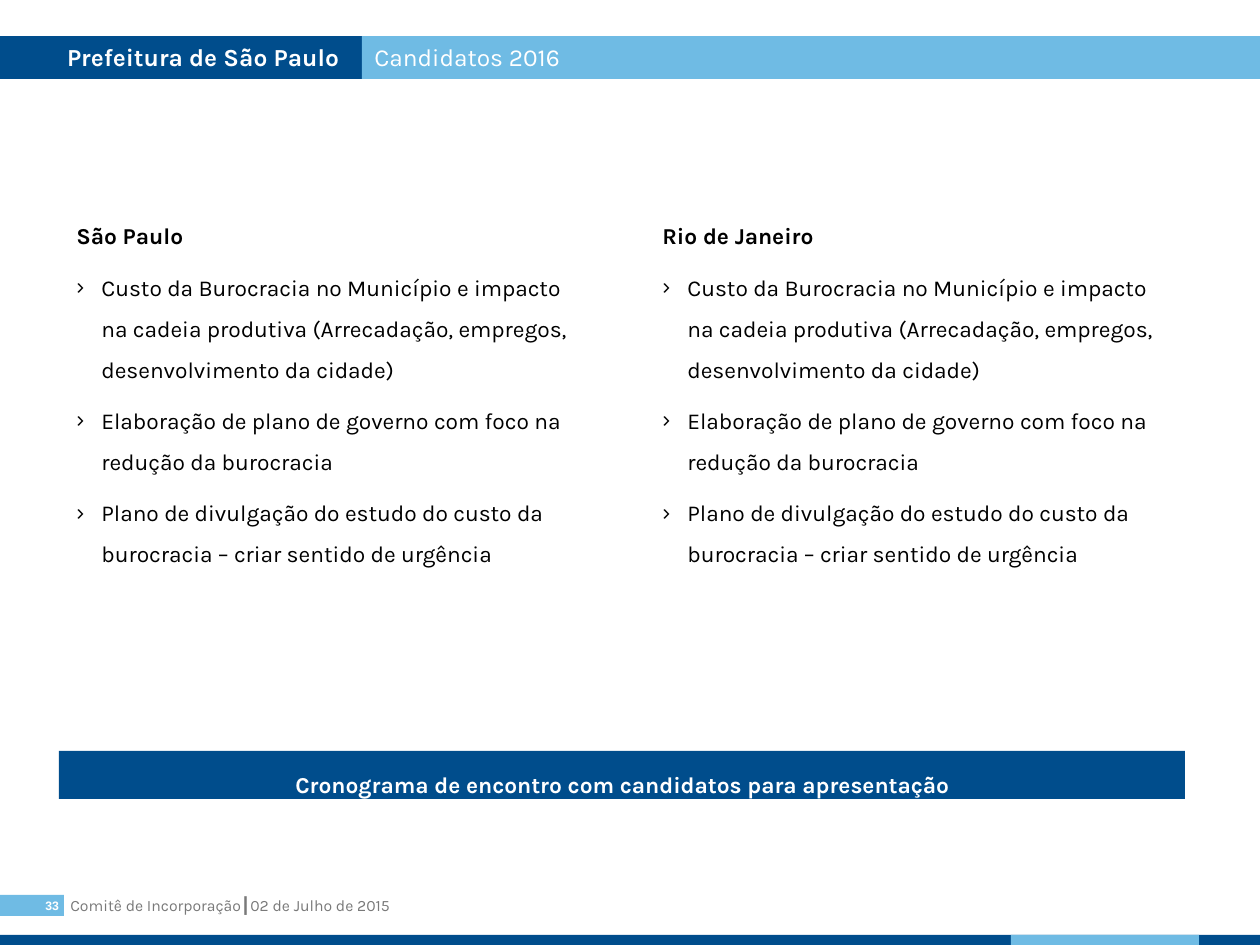
from pptx import Presentation
from pptx.dml.color import RGBColor
from pptx.enum.shapes import MSO_SHAPE
from pptx.enum.text import MSO_ANCHOR, PP_ALIGN
from pptx.oxml.ns import qn
from pptx.util import Pt
from lxml import etree

RECTANGLE = MSO_SHAPE.RECTANGLE
TOP, MIDDLE = MSO_ANCHOR.TOP, MSO_ANCHOR.MIDDLE
LEFT, CENTER, RIGHT = PP_ALIGN.LEFT, PP_ALIGN.CENTER, PP_ALIGN.RIGHT
SCALE = 914400 / 126  # EMU per px
COLORS = {"navy": "004D8C", "sky": "6FBBE4", "white": "FFFFFF",
          "black": "000000", "gray": "797979"}

# Content
TITLE, SUBTITLE = "Prefeitura de São Paulo", "Candidatos 2016"
CITIES = ["São Paulo", "Rio de Janeiro"]
ACTIONS = [
    "Custo da Burocracia no Município e impacto na cadeia produtiva "
    "(Arrecadação, empregos, desenvolvimento da cidade)",
    "Elaboração de plano de governo com foco na redução da burocracia",
    "Plano de divulgação do estudo do custo da burocracia – criar sentido de urgência",
]
BANNER = "Cronograma de encontro com candidatos para apresentação"
FOOTER, PAGE_NUMBER = "Comitê de Incorporação┃02 de Julho de 2015", "33"

# Layout in px
COLUMN_LEFT, COLUMN_STEP, COLUMN_TOP = 64, 586, 202
COLUMN_WIDTH, COLUMN_HEIGHT = 536, 479
BULLET_INDENT, TITLE_INDENT = 25, 62

# Text formats
BODY = {"size": Pt(13), "name": "Karla", "bold": False}
STRONG = {**BODY, "bold": True}
HEADING = {**BODY, "size": Pt(14)}
HEADING_STRONG = {**HEADING, "bold": True}
SMALL = {**BODY, "size": Pt(9)}
NUMBER = {"size": Pt(7), "name": "Arial", "bold": True}


def emu(px):
    return round(px * SCALE)


def rgb(color):
    return RGBColor.from_string(COLORS[color])


def add_bar(slide, area, color):
    bar = slide.shapes.add_shape(RECTANGLE, *map(emu, area))
    bar.shadow.inherit = False
    bar.fill.solid()
    bar.fill.fore_color.rgb = rgb(color)
    bar.line.fill.background()
    return bar


def add_text_box(slide, area):
    return slide.shapes.add_textbox(*map(emu, area))


def set_frame(box, anchor=TOP, **margins):
    frame = box.text_frame
    frame.word_wrap = True
    frame.vertical_anchor = anchor
    for side, px in margins.items():
        setattr(frame, f"margin_{side}", emu(px))


def write(para, text, style, color, align=LEFT, spacing=1.0):
    para.alignment = align
    para.line_spacing = spacing
    span = para.add_run()
    span.text = text
    for key, value in style.items():
        setattr(span.font, key, value)
    span.font.color.rgb = rgb(color)


def indent(para, left, first=0):
    properties = para._p.get_or_add_pPr()
    properties.set("marL", str(emu(left)))
    properties.set("indent", str(emu(first)))
    return properties


def add_bullet(para):
    properties = indent(para, BULLET_INDENT, -BULLET_INDENT)
    bullet_color = etree.SubElement(properties, qn("a:buClr"))
    etree.SubElement(bullet_color, qn("a:srgbClr"), val=COLORS["black"])
    etree.SubElement(properties, qn("a:buFont"), typeface="Karla")
    etree.SubElement(properties, qn("a:buChar"), char="›")


def main():
    deck = Presentation()
    deck.slide_width, deck.slide_height = emu(1260), emu(945)
    slide = deck.slides.add_slide(deck.slide_layouts[6])

    # Footer
    box = add_text_box(slide, (58, 890, 920, 32))
    set_frame(box)
    write(box.text_frame.paragraphs[0], FOOTER, SMALL, "gray")
    box = add_bar(slide, (0, 895, 64, 21), "sky")
    set_frame(box, MIDDLE, left=0, top=0, right=5, bottom=0)
    write(box.text_frame.paragraphs[0], PAGE_NUMBER, NUMBER, "white", RIGHT)
    add_bar(slide, (0, 935, 1260, 10), "navy")
    add_bar(slide, (1011, 935, 188, 10), "sky")

    # Title bars
    box = add_bar(slide, (0, 36, 382, 43), "navy")
    set_frame(box, left=5, right=5)
    para = box.text_frame.paragraphs[0]
    indent(para, TITLE_INDENT)
    write(para, TITLE, HEADING_STRONG, "white")
    box = add_bar(slide, (362, 36, 898, 43), "sky")
    set_frame(box)
    write(box.text_frame.paragraphs[0], SUBTITLE, HEADING, "white")

    # City columns
    for index, city in enumerate(CITIES):
        left = COLUMN_LEFT + index * COLUMN_STEP
        box = add_text_box(slide, (left, COLUMN_TOP, COLUMN_WIDTH, COLUMN_HEIGHT))
        set_frame(box)
        write(box.text_frame.paragraphs[0], city, STRONG, "black", spacing=1.5)
        for action in ACTIONS:
            para = box.text_frame.add_paragraph()
            add_bullet(para)
            para.space_before = Pt(6)
            write(para, action, BODY, "black", spacing=1.5)

    # Closing banner
    box = add_bar(slide, (59, 751, 1126, 48), "navy")
    set_frame(box)
    write(box.text_frame.paragraphs[0], BANNER, STRONG, "white", CENTER, 1.5)

    deck.save("out.pptx")


if __name__ == "__main__":
    main()
